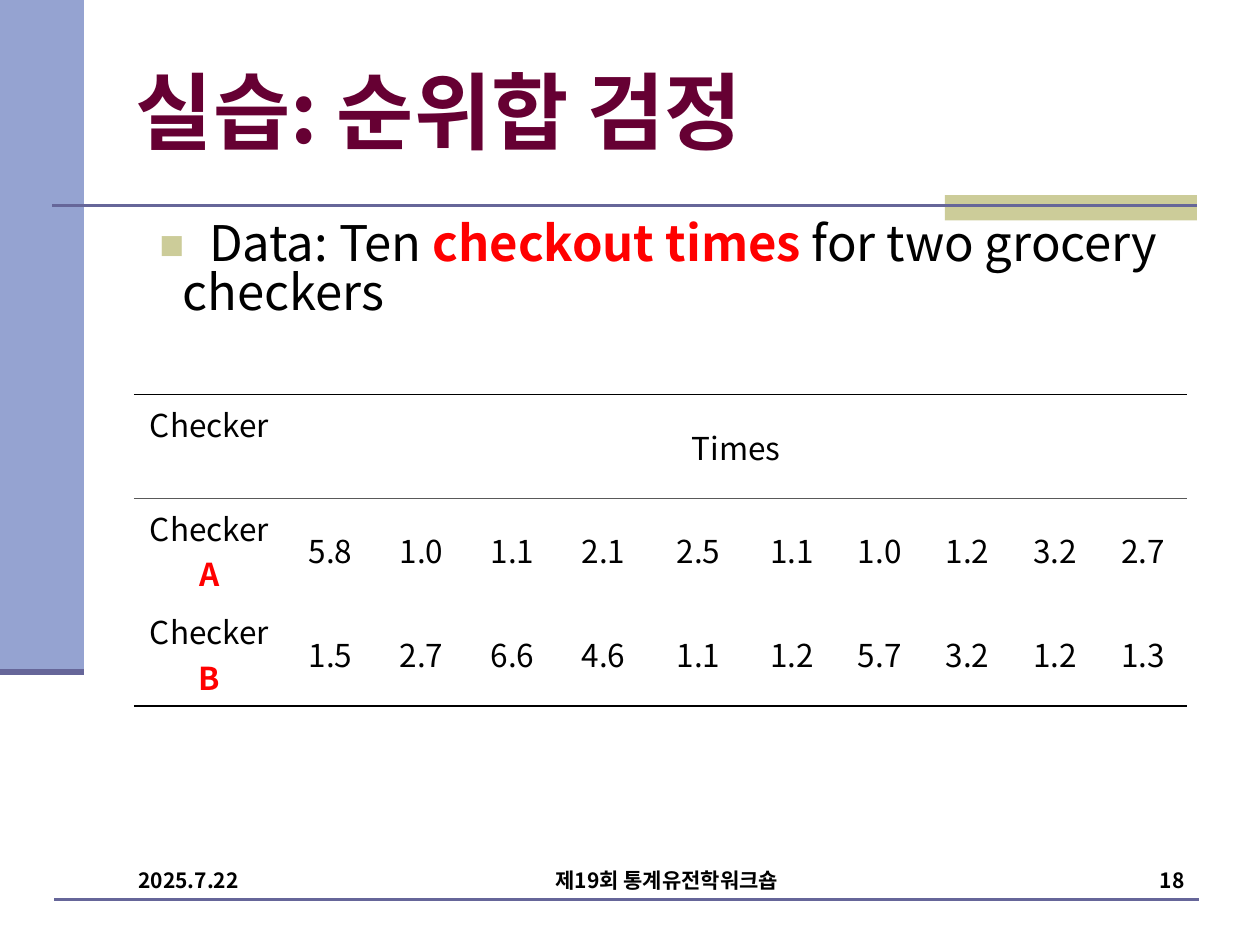
"""Build a slide on the rank sum test with a table of checkout times."""
from dataclasses import dataclass

from lxml import etree
from pptx import Presentation
from pptx.dml.color import RGBColor
from pptx.enum.shapes import MSO_CONNECTOR, MSO_SHAPE
from pptx.enum.text import MSO_ANCHOR, MSO_AUTO_SIZE, PP_ALIGN
from pptx.oxml.ns import qn
from pptx.util import Pt

RECT = MSO_SHAPE.RECTANGLE
LINE = MSO_CONNECTOR.STRAIGHT
LEFT, MID, RIGHT = PP_ALIGN.LEFT, PP_ALIGN.CENTER, PP_ALIGN.RIGHT
TOP, CENTER = MSO_ANCHOR.TOP, MSO_ANCHOR.MIDDLE
FONT = "Noto Sans CJK KR"
BLACK, RED, GRAY = "000000", "FF0000", "595959"
BLUE, SAND, PLUM = "666699", "CCCC99", "660033"


@dataclass
class Box:
    x: float
    y: float
    w: float
    h: float
    fill: str = ""


@dataclass
class Rule:
    x: float
    y: float
    end: float
    width: float = 1.5


@dataclass
class Run:
    text: str
    color: str = BLACK
    bold: bool = False


@dataclass
class Note:
    box: Box
    text: str
    align: PP_ALIGN


BARS = [Box(0, 0, 48, 384, "95A3D1"), Box(540, 111.5, 144, 14.5, SAND)]
RULES = [Rule(30, 117.5, 684), Rule(0, 384, 48, 3.5), Rule(31, 514, 685)]
NOTES = [
    Note(Box(72, 492.5, 156, 36), "2025.7.22", LEFT),
    Note(Box(264, 492, 234, 36), "제19회 통계유전학워크숍", MID),
    Note(Box(534, 492, 150, 14.5), "18", RIGHT),
]
TIMES = {
    "A": "5.8 1.0 1.1 2.1 2.5 1.1 1.0 1.2 3.2 2.7",
    "B": "1.5 2.7 6.6 4.6 1.1 1.2 5.7 3.2 1.2 1.3",
}
COLS = [86.4] + [52] * 4 + [56.6] + [50.2] * 5
ROW = 59.3


def paint(color, code: str) -> None:
    """Set a colour from a hex string."""
    color.rgb = RGBColor.from_string(code)


def place(shape, box: Box) -> None:
    """Move and size a shape."""
    shape.left, shape.top = Pt(box.x), Pt(box.y)
    shape.width, shape.height = Pt(box.w), Pt(box.h)


def write(frame, *runs: Run, size: float, align: PP_ALIGN = LEFT,
          before: float = 0, lead: float = 1):
    """Fill a text frame with one paragraph of runs and return it."""
    frame.word_wrap = True
    para = frame.paragraphs[0]
    para.alignment = align
    para.space_before = Pt(before)
    para.line_spacing = lead
    for item in runs:
        run = para.add_run()
        run.text = item.text
        font = run.font
        font.name, font.size, font.bold = FONT, Pt(size), item.bold
        paint(font.color, item.color)
        etree.SubElement(font._element, qn("a:ea"), typeface=FONT)
    return para


def text_box(slide, box: Box):
    """Add an empty text box and return its frame."""
    shape = slide.shapes.add_textbox(Pt(box.x), Pt(box.y), Pt(box.w), Pt(box.h))
    return shape.text_frame


def bar(slide, box: Box) -> None:
    """Add a plain filled bar."""
    shape = slide.shapes.add_shape(RECT, Pt(box.x), Pt(box.y), Pt(box.w), Pt(box.h))
    shape.shadow.inherit = False
    shape.fill.solid()
    paint(shape.fill.fore_color, box.fill)
    shape.line.fill.background()


def rule(slide, item: Rule) -> None:
    """Add a flat line without a shadow."""
    y = Pt(item.y)
    line = slide.shapes.add_connector(LINE, Pt(item.x), y, Pt(item.end), y)
    paint(line.line.color, BLUE)
    line.line.width = Pt(item.width)
    etree.SubElement(line._element.spPr, qn("a:effectLst"))


def bullet(para, code: str) -> None:
    """Give a paragraph a square bullet with a hanging indent."""
    props = para._p.get_or_add_pPr()
    props.set("marL", str(Pt(27)))
    props.set("indent", str(Pt(-27)))
    tint = etree.SubElement(props, qn("a:buClr"))
    etree.SubElement(tint, qn("a:srgbClr"), val=code)
    etree.SubElement(props, qn("a:buSzPct"), val="150000")
    etree.SubElement(props, qn("a:buFont"), typeface=FONT)
    etree.SubElement(props, qn("a:buChar"), char="▪")


def edge(cell, **sides: str) -> None:
    """Draw the named cell sides and clear the others and the fill."""
    props = cell._tc.get_or_add_tcPr()
    for side in "LRTB":
        code = sides.get(side)
        line = etree.SubElement(props, qn(f"a:ln{side}"), w=str(Pt(1 if code else 0)))
        if code:
            fill = etree.SubElement(line, qn("a:solidFill"))
            etree.SubElement(fill, qn("a:srgbClr"), val=code)
        else:
            etree.SubElement(line, qn("a:noFill"))
    cell.fill.background()


def fill_cell(cell, *runs: Run, anchor: MSO_ANCHOR = CENTER) -> None:
    """Write centred table text."""
    cell.vertical_anchor = anchor
    write(cell.text_frame, *runs, size=18, align=MID)


def add_times(slide) -> None:
    """Add the table of times for both checkers."""
    shape = slide.shapes.add_table(3, len(COLS), Pt(76.5), Pt(225.5),
                                   Pt(sum(COLS)), Pt(3 * ROW))
    table = shape.table
    table.first_row = table.horz_banding = False
    for col, width in zip(table.columns, COLS):
        col.width = Pt(width)
    sides = [{"T": BLACK, "B": GRAY}, {"T": GRAY}, {"B": BLACK}]
    for row, lines in zip(table.rows, sides):
        row.height = Pt(ROW)
        for cell in row.cells:
            edge(cell, **lines)
    table.cell(0, 1).merge(table.cell(0, len(COLS) - 1))
    fill_cell(table.cell(0, 0), Run("Checker"), anchor=TOP)
    fill_cell(table.cell(0, 1), Run("Times"))
    for r, (name, times) in enumerate(TIMES.items(), 1):
        fill_cell(table.cell(r, 0), Run("Checker "), Run(name, RED, True))
        for c, time in enumerate(times.split(), 1):
            fill_cell(table.cell(r, c), Run(time))


def main() -> None:
    """Build and save the slide."""
    deck = Presentation()
    deck.slide_width, deck.slide_height = Pt(720), Pt(540)
    slide = deck.slides.add_slide(deck.slide_layouts[5])
    for box in BARS:
        bar(slide, box)
    for item in RULES:
        rule(slide, item)
    title = slide.shapes.title
    place(title, Box(70.5, 21.5, 612, 90))
    frame = title.text_frame
    frame.auto_size = MSO_AUTO_SIZE.NONE
    frame.vertical_anchor = CENTER
    write(frame, Run("실습: 순위합 검정", PLUM, True), size=48, lead=0.9)
    para = write(text_box(slide, Box(70.5, 124, 612, 67.5)), Run("Data: Ten "),
                 Run("checkout times", RED, True),
                 Run(" for two grocery checkers"), size=28, before=2.2, lead=0.82)
    bullet(para, SAND)
    add_times(slide)
    for note in NOTES:
        write(text_box(slide, note.box), Run(note.text, bold=True),
              size=12, align=note.align)
    deck.save("out.pptx")


if __name__ == "__main__":
    main()
